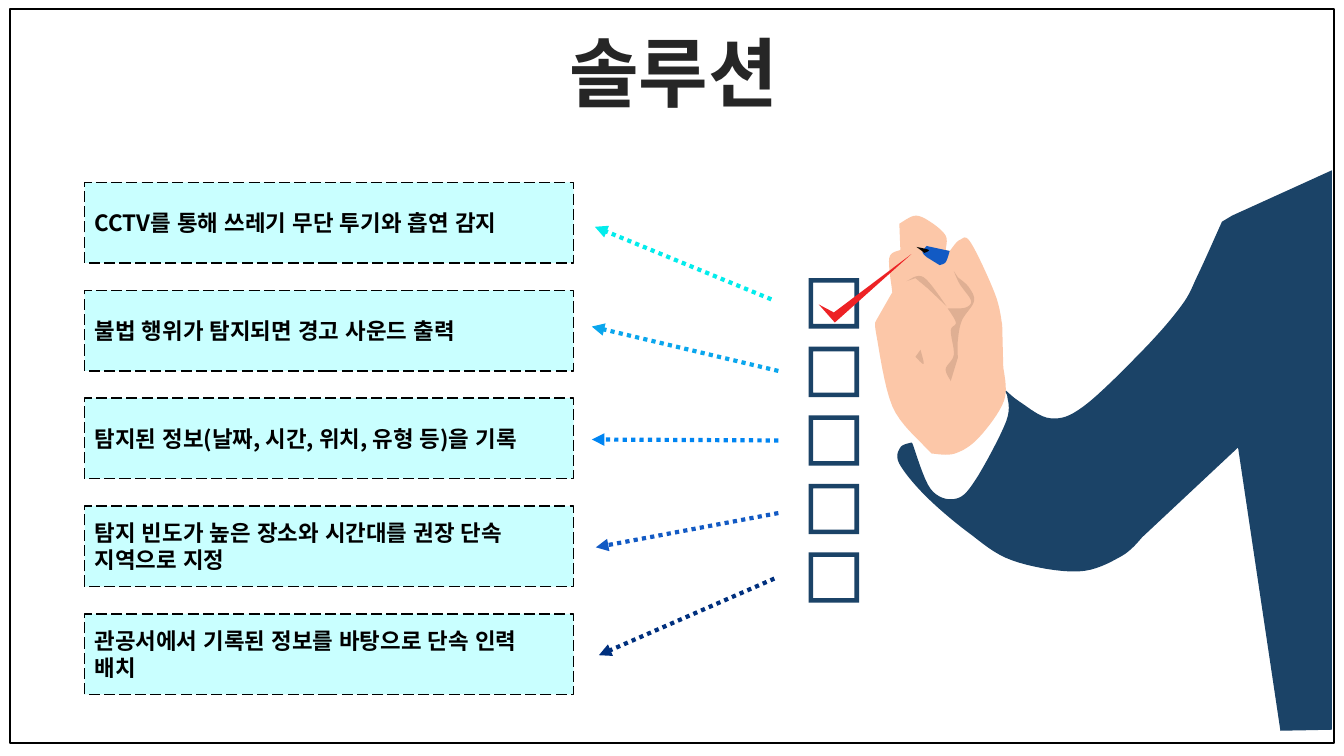
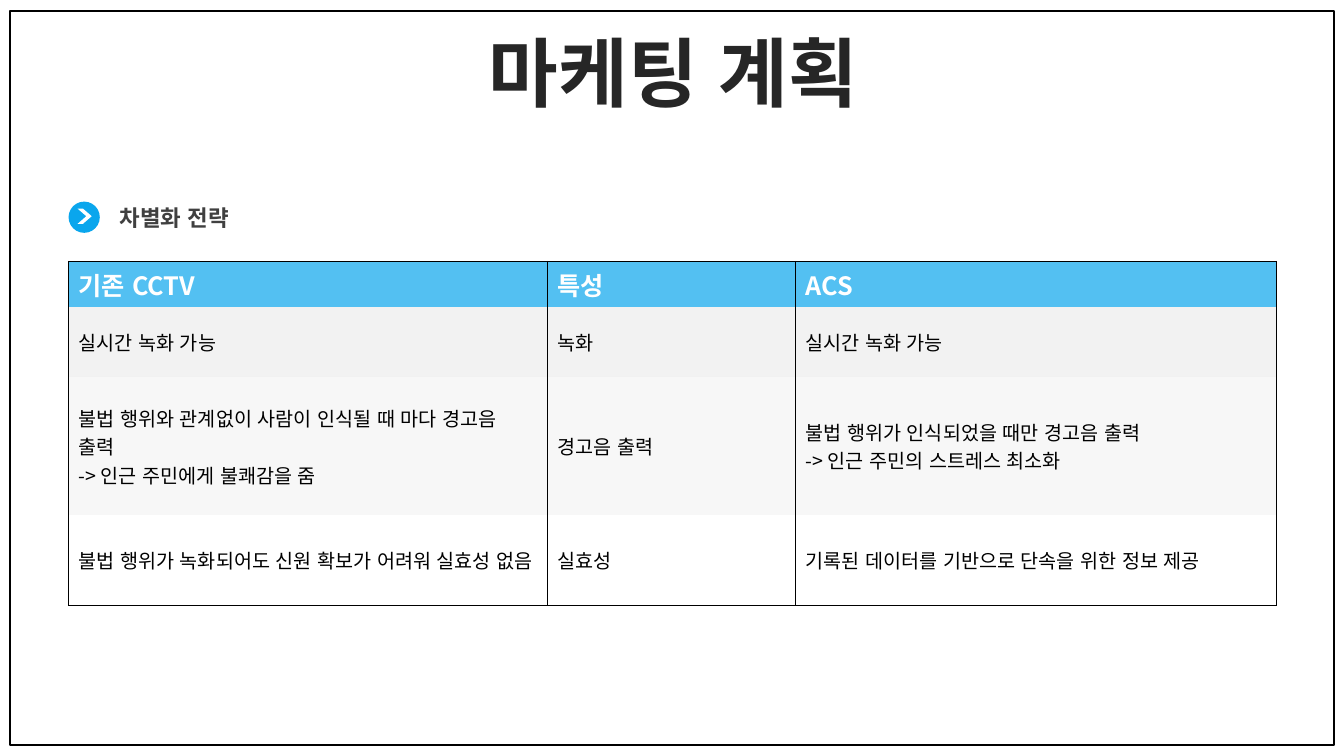
import dataclasses

import lxml.etree
import pptx
import pptx.dml.color
import pptx.enum.dml
import pptx.enum.lang
import pptx.enum.shapes
import pptx.enum.text
import pptx.oxml.ns
import pptx.util

PX = 9144
SHAPE = pptx.enum.shapes.MSO_SHAPE
DASH = pptx.enum.dml.MSO_LINE
ALIGN = pptx.enum.text.PP_ALIGN
ANCHOR = pptx.enum.text.MSO_ANCHOR


@dataclasses.dataclass(frozen=True)
class Theme:
    """Colours, font and type sizes shared by the slides."""
    font: str = "Noto Sans CJK KR"
    black: str = "000000"
    white: str = "FFFFFF"
    title: str = "262626"
    heading: str = "404040"
    blue: str = "0AA6ED"
    navy: str = "1B4367"
    pale: str = "C9FFFF"
    skin: str = "FCC7A8"
    crease: str = "DFAF93"
    tick: str = "ED2225"
    pen: str = "125AC4"
    nib: str = "030201"
    band: str = "F2F2F2"
    grey: str = "D9D9D9"
    arrows: tuple = ("02ECEC", "0AA6ED", "0085F2", "125AC4", "00307E")
    title_size: int = 54
    header_size: int = 18
    body_size: int = 16
    cell_size: int = 14


THEME = Theme()

SOLUTIONS = (
    "CCTV를 통해 쓰레기 무단 투기와 흡연 감지",
    "불법 행위가 탐지되면 경고 사운드 출력",
    "탐지된 정보(날짜, 시간, 위치, 유형 등)을 기록",
    "탐지 빈도가 높은 장소와 시간대를 권장 단속 지역으로 지정",
    "관공서에서 기록된 정보를 바탕으로 단속 인력 배치",
)
ARROW_STARTS = ((765, 297), (772, 368), (772, 437), (772, 509), (768, 574))
ARROW_TIPS = ((590, 225), (587, 324), (587, 436), (591, 543), (594, 650))
COMPARISON = (
    ("기존 CCTV", "특성", "ACS"),
    ("실시간 녹화 가능", "녹화", "실시간 녹화 가능"),
    ("불법 행위와 관계없이 사람이 인식될 때 마다 경고음 출력\n-> 인근 주민에게 불쾌감을 줌",
     "경고음 출력",
     "불법 행위가 인식되었을 때만 경고음 출력\n-> 인근 주민의 스트레스 최소화"),
    ("불법 행위가 녹화되어도 신원 확보가 어려워 실효성 없음", "실효성",
     "기록된 데이터를 기반으로 단속을 위한 정보 제공"),
)


def apply(target, formats):
    """Set each named attribute on the target."""
    for name, value in formats.items():
        setattr(target, name, value)


def rgb(code):
    """Return the colour for a hex code."""
    return pptx.dml.color.RGBColor.from_string(code)


def emu(*lengths):
    """Turn px lengths into EMU."""
    return [pptx.util.Emu(round(length * PX)) for length in lengths]


def add_xml(parent, tag, **attributes):
    """Append a drawing element to the parent and return it."""
    return lxml.etree.SubElement(parent, pptx.oxml.ns.qn(tag), attributes)


def write(frame, text, size, colour, bold=False, para_format=None):
    """Fill a text frame with one paragraph per line."""
    for index, line in enumerate(text.split("\n")):
        para = frame.add_paragraph() if index else frame.paragraphs[0]
        apply(para, para_format or {"alignment": ALIGN.LEFT})
        span = para.add_run()
        span.text = line
        apply(span.font, {
            "name": THEME.font, "size": pptx.util.Pt(size), "bold": bold,
            "language_id": pptx.enum.lang.MSO_LANGUAGE_ID.KOREAN})
        span.font.color.rgb = rgb(colour)
        add_xml(span.font._element, "a:ea", typeface=THEME.font)


def paint(shape, fill, line=None):
    """Give a shape a flat fill and an optional (width, dash) black line."""
    shape.shadow.inherit = False
    shape.fill.solid()
    shape.fill.fore_color.rgb = rgb(fill)
    if line is None:
        shape.line.fill.background()
        return
    shape.line.color.rgb = rgb(THEME.black)
    apply(shape.line, {"width": pptx.util.Pt(line[0]), "dash_style": line[1]})


def add_preset(page, kind, box, fill, line=None):
    """Place a painted preset shape in a px box."""
    shape = page.shapes.add_shape(kind, *emu(*box))
    paint(shape, fill, line)
    return shape


def add_text(page, box, *content, **options):
    """Place a wrapping text box centred vertically in a px box."""
    frame = page.shapes.add_textbox(*emu(*box)).text_frame
    apply(frame, {"word_wrap": True, "vertical_anchor": ANCHOR.MIDDLE})
    write(frame, *content, **options)


def smooth(stroke, steps=8):
    """Pass a Catmull-Rom curve through the points of a stroke."""
    padded = (stroke[0], *stroke, stroke[-1])
    points = [stroke[0]]
    for before, start, end, after in zip(padded, padded[1:], padded[2:], padded[3:]):
        for step in range(1, steps + 1):
            t = step / steps
            points.append(tuple(
                (2 * b + (c - a) * t + (2 * a - 5 * b + 4 * c - d) * t ** 2
                 + (3 * b - a - 3 * c + d) * t ** 3) / 2
                for a, b, c, d in zip(before, start, end, after)))
    return points


def add_outline(page, origin, fill, **strokes):
    """Draw a closed shape of smooth strokes that meet in corners."""
    points = [emu(origin[0] + x, origin[1] + y)
              for stroke in strokes.values() for x, y in smooth(stroke)]
    builder = page.shapes.build_freeform(*points[0], scale=1.0)
    builder.add_line_segments(points[1:], close=True)
    paint(builder.convert_to_shape(), fill)


def add_sleeve(page, origin):
    """Draw the jacket arm from shoulder to cuff."""
    add_outline(
        page, origin, THEME.navy,
        hem=((521, 564), (470, 565)),
        armpit=((428, 284),),
        underside=((334, 372), (312, 392), (269, 407), (204, 396), (160, 368),
                   (118, 332), (92, 300), (93, 284), (104, 279)),
        cuff=((105, 280), (123, 325), (147, 335), (167, 317), (198, 258), (199, 232)),
        forearm=((195, 225), (212, 239), (242, 255), (275, 243), (334, 187),
                 (372, 143), (388, 113), (412, 60)),
        shoulder=((422, 54), (521, 9)))


def add_hand(page, origin):
    """Draw the skin of the hand."""
    add_outline(
        page, origin, THEME.skin,
        wrist=((195, 203), (196, 237), (171, 274), (147, 290), (124, 290)),
        heel=((117, 283), (85, 243), (69, 171), (69, 158)),
        thumb=((85, 130), (82, 96), (93, 88)),
        fingertip=((92, 62), (108, 54), (124, 61), (138, 74), (138, 88)),
        knuckles=((142, 89), (152, 78), (163, 81), (187, 132), (194, 162)))


def add_creases(page, origin):
    """Draw the darker folds of the hand."""
    add_outline(
        page, origin, THEME.crease,
        outer=((143, 218), (138, 206), (146, 192), (143, 168), (148, 160), (140, 146)),
        knuckle=((145, 146), (158, 145), (163, 138), (152, 122), (146, 109)),
        inner=((150, 115), (161, 125), (166, 139), (154, 158), (150, 178), (150, 195)))
    add_outline(page, origin, THEME.crease,
                upper=((99, 119), (116, 115), (139, 144)), lower=((120, 126), (108, 116)))
    add_outline(page, origin, THEME.crease,
                dimple=((113, 187), (116, 201), (108, 194)))


def add_tick_and_pen(page, origin):
    """Draw the tick and the pen end above it."""
    add_outline(page, origin, THEME.tick,
                short=((12, 142), (27, 150)), tip=((104, 92),), foot=((28, 160),))
    add_outline(page, origin, THEME.pen,
                cap=((142, 89), (138, 100), (132, 103)),
                cone=((119, 95), (115, 90), (119, 84)))
    add_outline(page, origin, THEME.nib, nib=((109, 85), (121, 88), (117, 91)))


def add_checkboxes(page, left, top, size, pitch):
    """Stack one empty checkbox for each solution."""
    for index in range(len(SOLUTIONS)):
        box = (left, top + index * pitch, size, size)
        add_preset(page, SHAPE.FRAME, box, THEME.navy).adjustments[0] = 0.09


def add_checklist(page, left, top):
    """Draw the checkboxes and the hand that ticks them."""
    add_checkboxes(page, left + 2, top + 116, 50, 68)
    for draw in (add_sleeve, add_hand, add_creases, add_tick_and_pen):
        draw(page, (left, top))


def add_page(deck, title, frame_top):
    """Add a blank slide with the framed border and the title."""
    page = deck.slides.add_slide(deck.slide_layouts[6])
    add_preset(page, SHAPE.RECTANGLE, (10, frame_top, 1313, 728), THEME.white,
               (1.5, DASH.SOLID))
    add_text(page, (35, 37, 1266, 79), title, THEME.title_size, THEME.title, bold=True,
             para_format={"alignment": ALIGN.CENTER, "line_spacing": 0.9,
                          "space_before": pptx.util.Pt(10)})
    return page


def add_solutions(page, left, top, width, height, pitch):
    """Stack the dashed solution boxes."""
    for index, text in enumerate(SOLUTIONS):
        shape = add_preset(page, SHAPE.RECTANGLE, (left, top + index * pitch, width, height),
                           THEME.pale, (1, DASH.LONG_DASH))
        shape.text_frame.vertical_anchor = ANCHOR.MIDDLE
        write(shape.text_frame, text, THEME.body_size, THEME.black, bold=True)


def add_arrow(page, start, tip, colour):
    """Draw a dotted arrow between two px points."""
    arrow = page.shapes.add_connector(
        pptx.enum.shapes.MSO_CONNECTOR.STRAIGHT, *emu(*start, *tip))
    arrow.line.color.rgb = rgb(colour)
    apply(arrow.line, {"width": pptx.util.Pt(3), "dash_style": DASH.ROUND_DOT})
    add_xml(arrow.line._get_or_add_ln(), "a:tailEnd", type="triangle")
    add_xml(arrow._element.spPr, "a:effectLst")


def add_heading(page, left, top, text):
    """Place a round chevron bullet and its heading."""
    add_text(page, (left + 41, top, 302, 37), text, THEME.body_size, THEME.heading, bold=True)
    add_preset(page, SHAPE.OVAL, (left, top + 3, 31, 31), THEME.blue)
    chevron = add_preset(page, SHAPE.CHEVRON, (left + 9, top + 10, 14, 15), THEME.white)
    chevron.adjustments[0] = 0.62


def style_cell(cell, fill, opacity, sides):
    """Fill a cell and rule only the named sides."""
    cell.fill.solid()
    cell.fill.fore_color.rgb = rgb(fill)
    properties = cell._tc.get_or_add_tcPr()
    colour = properties.find(".//" + pptx.oxml.ns.qn("a:srgbClr"))
    add_xml(colour, "a:alpha", val=str(opacity * 1000))
    for index, side in enumerate("LRTB"):
        line = add_xml(properties, "a:ln" + side, w=str(pptx.util.Pt(0.5)))
        if side in sides:
            add_xml(add_xml(line, "a:solidFill"), "a:srgbClr", val=THEME.black)
        else:
            add_xml(line, "a:noFill")
        properties.insert(index, line)


def add_comparison(page, left, top, widths, heights):
    """Build the comparison table."""
    table = page.shapes.add_table(len(heights), len(widths), *emu(
        left, top, sum(widths), sum(heights))).table
    for column, width in zip(table.columns, widths):
        column.width = emu(width)[0]
    looks = ((THEME.blue, 70, "LRT"), (THEME.band, 100, "LR"),
             (THEME.grey, 20, "LR"), (THEME.white, 100, "LRB"))
    for index, (texts, height, look) in enumerate(zip(COMPARISON, heights, looks)):
        table.rows[index].height = emu(height)[0]
        for cell, text in zip(table.rows[index].cells, texts):
            style_cell(cell, *look)
            if index:
                cell.vertical_anchor = ANCHOR.MIDDLE
                write(cell.text_frame, text, THEME.cell_size, THEME.black)
            else:
                write(cell.text_frame, text, THEME.header_size, THEME.white, bold=True)


def main():
    """Build and save the deck."""
    deck = pptx.Presentation()
    apply(deck, dict(zip(("slide_width", "slide_height"), emu(1333, 750))))
    page = add_page(deck, "솔루션", 9)
    add_checklist(page, 800, 160)
    add_solutions(page, 84, 181, 485, 80, 107)
    for start, tip, colour in zip(ARROW_STARTS, ARROW_TIPS, THEME.arrows):
        add_arrow(page, start, tip, colour)
    page = add_page(deck, "마케팅 계획", 11)
    add_comparison(page, 68, 259, (475, 246, 477), (46, 69, 137, 90))
    add_heading(page, 68, 197, "차별화 전략")
    deck.save("out.pptx")


if __name__ == "__main__":
    main()
